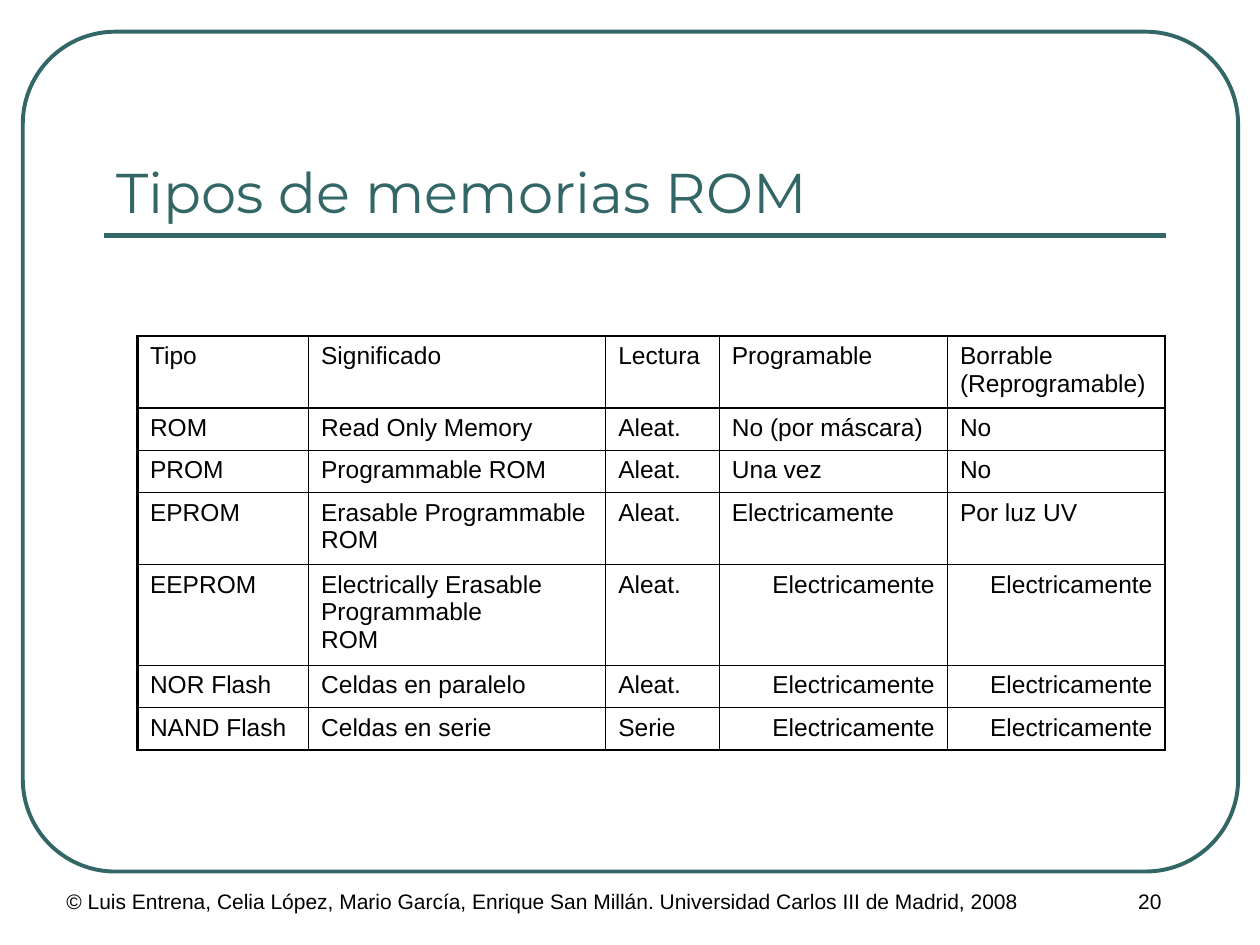
"""Build the slide that compares the types of ROM memory."""
from lxml import etree
from pptx import Presentation
from pptx import util as u
from pptx.dml.color import RGBColor
from pptx.enum import shapes, text
from pptx.oxml.ns import qn

TEAL, BLACK = "336666", "000000"
THIN, THICK = 0.45, 1.47
LEFT, CENTER, RIGHT = text.PP_ALIGN.LEFT, text.PP_ALIGN.CENTER, text.PP_ALIGN.RIGHT
TOP, BOTTOM = text.MSO_ANCHOR.TOP, text.MSO_ANCHOR.BOTTOM

TEXTS = [
    ("© Luis Entrena, Celia López, Mario García, Enrique San Millán. "
     "Universidad Carlos III de Madrid, 2008",
     (1.09, 17.78, 21.59, 1.27), "Arial", 12, BLACK, LEFT, TOP),
    ("20", (20.96, 17.78, 4.44, 1.27), "Arial", 12, BLACK, CENTER, TOP),
    ("Tipos de memorias ROM", (2.1, 1.47, 21.39, 3.18), "Montserrat", 32, TEAL, LEFT, BOTTOM),
]
ROWS = [
    ("Tipo", "Significado", "Lectura", "Programable", "Borrable (Reprogramable)"),
    ("ROM", "Read Only Memory", "Aleat.", "No (por máscara)", "No"),
    ("PROM", "Programmable ROM", "Aleat.", "Una vez", "No"),
    ("EPROM", "Erasable Programmable\nROM", "Aleat.", "Electricamente", "Por luz UV"),
    ("EEPROM", "Electrically Erasable Programmable\nROM", "Aleat.",
     "Electricamente", "Electricamente"),
    ("NOR Flash", "Celdas en paralelo", "Aleat.", "Electricamente", "Electricamente"),
    ("NAND Flash", "Celdas en serie", "Serie", "Electricamente", "Electricamente"),
]
COLUMN_WIDTHS = [3.45, 5.99, 2.29, 4.6, 4.39]
ROW_HEIGHTS = [1.45, 0.85, 0.85, 1.45, 2.03, 0.85, 0.85]
FIRST_RIGHT_ROW, FIRST_RIGHT_COLUMN = 4, 3


def color(value):
    return RGBColor.from_string(value)


def format_text(frame, font, size, ink, align):
    for para in frame.paragraphs:
        para.alignment = align
        for span in para.runs:
            span.font.name = font
            span.font.size = u.Pt(size)
            span.font.color.rgb = color(ink)


def add_text(page, words, place, font, size, ink, align, anchor):
    box = page.shapes.add_textbox(*map(u.Cm, place))
    frame = box.text_frame
    frame.word_wrap = True
    frame.vertical_anchor = anchor
    frame.text = words
    format_text(frame, font, size, ink, align)


def add_frame(page):
    frame = page.shapes.add_shape(
        shapes.MSO_SHAPE.ROUNDED_RECTANGLE, *map(u.Cm, (0.46, 0.64, 24.5, 16.93)))
    frame.adjustments[0] = 0.11
    frame.shadow.inherit = False
    frame.fill.background()
    frame.line.color.rgb = color(TEAL)
    frame.line.width = u.Pt(2.25)


def add_rule(page):
    rule = page.shapes.add_connector(
        shapes.MSO_CONNECTOR.STRAIGHT, *map(u.Cm, (2.1, 4.75, 23.5, 4.75)))
    rule.line.color.rgb = color(TEAL)
    rule.line.width = u.Pt(3)
    etree.SubElement(rule._element.spPr, qn("a:effectLst"))


def add_borders(cell, widths):
    properties = cell._tc.get_or_add_tcPr()
    for side, width in widths.items():
        border = etree.SubElement(properties, qn("a:ln" + side), w=str(u.Pt(width)))
        fill = etree.SubElement(border, qn("a:solidFill"))
        etree.SubElement(fill, qn("a:srgbClr"), val=BLACK)


def add_memory_table(page):
    place = (2.77, 6.78, sum(COLUMN_WIDTHS), sum(ROW_HEIGHTS))
    table = page.shapes.add_table(len(ROWS), len(COLUMN_WIDTHS), *map(u.Cm, place)).table
    table.first_row = table.horz_banding = False
    for column, width in zip(table.columns, COLUMN_WIDTHS):
        column.width = u.Cm(width)
    for row, height in zip(table.rows, ROW_HEIGHTS):
        row.height = u.Cm(height)
    last_row, last_column = len(ROWS) - 1, len(COLUMN_WIDTHS) - 1
    for i, row in enumerate(ROWS):
        for j, words in enumerate(row):
            cell = table.cell(i, j)
            cell.text_frame.text = words
            to_right = i >= FIRST_RIGHT_ROW and j >= FIRST_RIGHT_COLUMN
            format_text(cell.text_frame, "Arial", 14, BLACK, RIGHT if to_right else LEFT)
            thick = {"L": j == 0, "R": j == last_column,
                     "T": i in (0, 1), "B": i in (0, last_row)}
            add_borders(cell, {side: THICK if wide else THIN for side, wide in thick.items()})
            cell.fill.background()


def main():
    deck = Presentation()
    deck.slide_width, deck.slide_height = u.Cm(25.4), u.Cm(19.05)
    page = deck.slides.add_slide(deck.slide_layouts[6])
    add_frame(page)
    add_rule(page)
    for entry in TEXTS:
        add_text(page, *entry)
    add_memory_table(page)
    deck.save("out.pptx")


if __name__ == "__main__":
    main()
